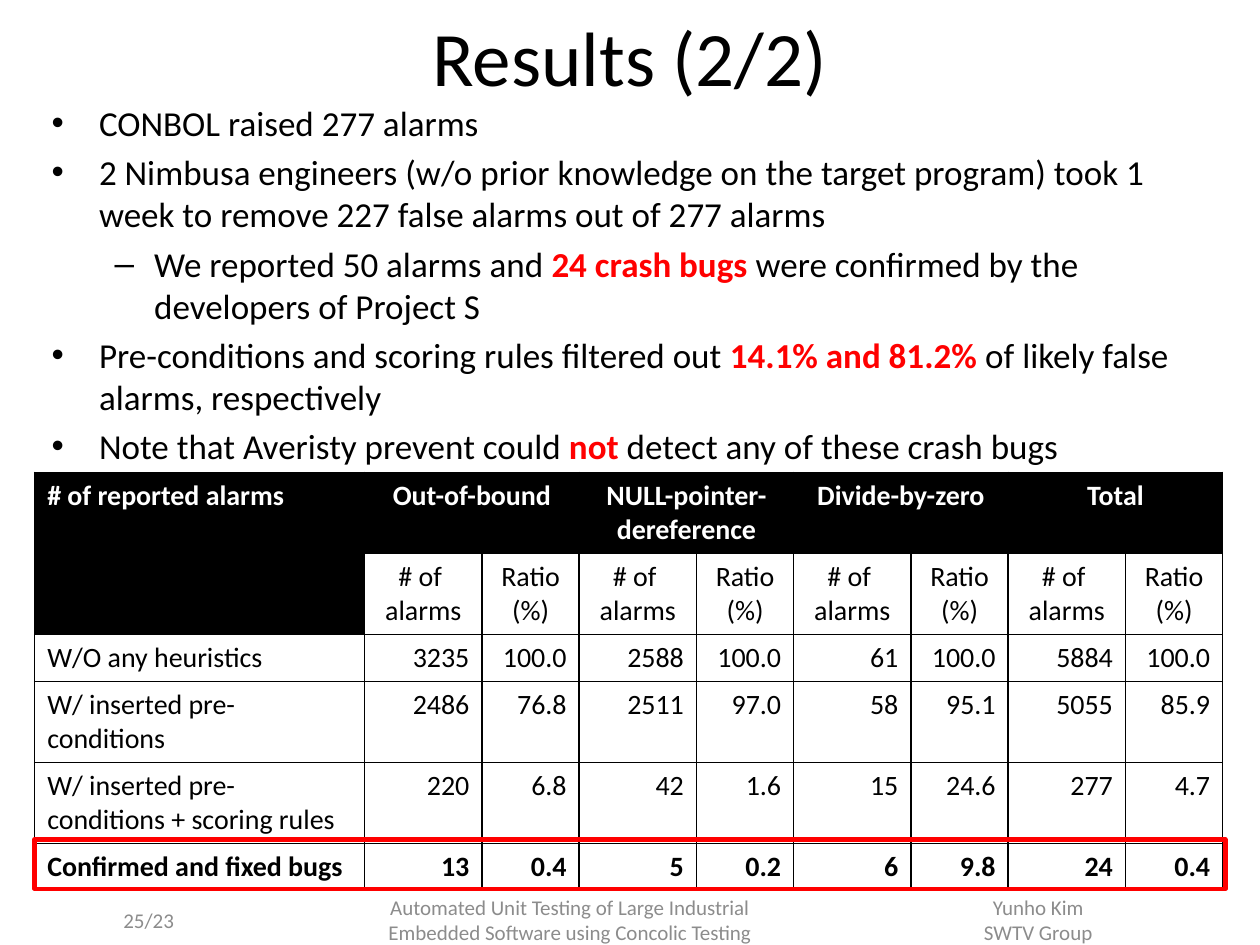
from dataclasses import dataclass

from lxml import etree
from pptx import Presentation
from pptx.dml import color
from pptx.enum import shapes, text
from pptx.oxml import ns
from pptx.util import Pt


@dataclass(frozen=True)
class Theme:
    font: str = "Calibri"
    black: str = "000000"
    white: str = "FFFFFF"
    red: str = "FF0000"
    gray: str = "8C8C8C"
    title: int = 44
    body: int = 20
    table: int = 16
    footer: int = 12


THEME = Theme()
ALIGN = text.PP_ALIGN

BULLETS = [
    (0, ["CONBOL raised 277 alarms"]),
    (0, ["2 Nimbusa engineers (w/o prior knowledge on the target program) took 1 "
         "week to remove 227 false alarms out of 277 alarms"]),
    (1, ["We reported 50 alarms and ", "24 crash bugs ",
         "were confirmed by the developers of Project S"]),
    (0, ["Pre-conditions and scoring rules filtered out ", "14.1% and 81.2% ",
         "of likely false alarms, respectively"]),
    (0, ["Note that Averisty prevent could ", "not ",
         "detect any of these crash bugs"]),
]
BULLET_STYLES = [("•", 27, -27), ("–", 58.5, -22.5)]

GROUPS = ["Out-of-bound", "NULL-pointer-dereference", "Divide-by-zero", "Total"]
ROWS = [
    ("W/O any heuristics",
     "3235", "100.0", "2588", "100.0", "61", "100.0", "5884", "100.0"),
    ("W/ inserted pre-conditions",
     "2486", "76.8", "2511", "97.0", "58", "95.1", "5055", "85.9"),
    ("W/ inserted pre-conditions + scoring rules",
     "220", "6.8", "42", "1.6", "15", "24.6", "277", "4.7"),
    ("Confirmed and fixed bugs",
     "13", "0.4", "5", "0.2", "6", "9.8", "24", "0.4"),
]
COL_WIDTHS = [188.6] + [67, 55.6] * len(GROUPS)
ROW_HEIGHTS = [46.3, 46.3, 27, 46.3, 46.3, 27]

FOOTERS = [
    (36, 70.5, ALIGN.RIGHT, ["25/23"]),
    (121.7, 408, ALIGN.CENTER, ["Automated Unit Testing of Large Industrial",
                                "Embedded Software using Concolic Testing"]),
    (540, 106.5, ALIGN.CENTER, ["Yunho Kim", "SWTV Group"]),
]


def add_run(p, content, size, rgb, bold=False):
    r = p.add_run()
    r.text = content
    r.font.name = THEME.font
    r.font.size = Pt(size)
    r.font.bold = bold
    r.font.color.rgb = color.RGBColor.from_string(rgb)


def write_lines(tf, lines, align, size, rgb, bold=False):
    for i, line in enumerate(lines):
        p = tf.add_paragraph() if i else tf.paragraphs[0]
        p.alignment = align
        add_run(p, line, size, rgb, bold)


def add_box(s, left, top, width, height, anchor):
    tf = s.shapes.add_textbox(Pt(left), Pt(top), Pt(width), Pt(height)).text_frame
    tf.word_wrap = True
    tf.vertical_anchor = anchor
    return tf


def set_title(s, content):
    sp = s.shapes.title
    sp.left, sp.top, sp.width, sp.height = Pt(0), Pt(-2), Pt(720), Pt(67.5)
    sp.text_frame.vertical_anchor = text.MSO_ANCHOR.MIDDLE
    write_lines(sp.text_frame, [content], ALIGN.CENTER, THEME.title, THEME.black)


def set_bullet(p, level):
    char, margin, indent = BULLET_STYLES[level]
    p.level = level
    ppr = p._p.get_or_add_pPr()
    ppr.set("marL", str(Pt(margin)))
    ppr.set("indent", str(Pt(indent)))
    etree.SubElement(ppr, ns.qn("a:buFont"), typeface="Arial")
    etree.SubElement(ppr, ns.qn("a:buChar"), char=char)


def add_bullets(s):
    tf = add_box(s, 22.5, 54.7, 664, 215, text.MSO_ANCHOR.TOP)
    for i, (level, runs) in enumerate(BULLETS):
        p = tf.add_paragraph() if i else tf.paragraphs[0]
        set_bullet(p, level)
        p.space_before = Pt(4 if i else 0)
        for j, content in enumerate(runs):
            marked = j == 1
            add_run(p, content, THEME.body, THEME.red if marked else THEME.black, marked)


def style_cell(cell, fill):
    tcpr = cell._tc.get_or_add_tcPr()
    for side, width in (("L", 1), ("R", 1), ("T", 0.75), ("B", 0.75)):
        ln = etree.SubElement(tcpr, ns.qn(f"a:ln{side}"), w=str(Pt(width)))
        solid = etree.SubElement(ln, ns.qn("a:solidFill"))
        etree.SubElement(solid, ns.qn("a:srgbClr"), val=THEME.black)
    cell.fill.solid()
    cell.fill.fore_color.rgb = color.RGBColor.from_string(fill)


def fill_cell(cell, lines, align, rgb=THEME.black, bold=False):
    write_lines(cell.text_frame, lines, align, THEME.table, rgb, bold)


def add_alarm_table(s):
    table = s.shapes.add_table(
        len(ROW_HEIGHTS), len(COL_WIDTHS), Pt(19.8), Pt(269.8),
        Pt(sum(COL_WIDTHS)), Pt(sum(ROW_HEIGHTS))).table
    table.first_row = table.horz_banding = False
    for col, width in zip(table.columns, COL_WIDTHS):
        col.width = Pt(width)
    for row, height in zip(table.rows, ROW_HEIGHTS):
        row.height = Pt(height)
    for r in range(len(ROW_HEIGHTS)):
        for c in range(len(COL_WIDTHS)):
            header = r == 0 or (r == 1 and c == 0)
            style_cell(table.cell(r, c), THEME.black if header else THEME.white)

    table.cell(0, 0).merge(table.cell(1, 0))
    fill_cell(table.cell(0, 0), ["# of reported alarms"], ALIGN.LEFT, THEME.white, True)
    for i, group in enumerate(GROUPS):
        c = 1 + 2 * i
        table.cell(0, c).merge(table.cell(0, c + 1))
        fill_cell(table.cell(0, c), [group], ALIGN.CENTER, THEME.white, True)
        fill_cell(table.cell(1, c), ["# of ", "alarms"], ALIGN.CENTER)
        fill_cell(table.cell(1, c + 1), ["Ratio", "(%)"], ALIGN.CENTER)
    for r, values in enumerate(ROWS, 2):
        for c, value in enumerate(values):
            fill_cell(table.cell(r, c), [value], ALIGN.RIGHT if c else ALIGN.LEFT,
                      bold=values is ROWS[-1])


def add_highlight(s):
    sp = s.shapes.add_shape(shapes.MSO_SHAPE.RECTANGLE,
                            Pt(19.8), Pt(479.7), Pt(680.4), Pt(28.3))
    sp.shadow.inherit = False
    sp.fill.background()
    sp.line.color.rgb = color.RGBColor.from_string(THEME.red)
    sp.line.width = Pt(2.5)


def add_footers(s):
    for left, width, align, lines in FOOTERS:
        tf = add_box(s, left, 511.2, width, 28.8, text.MSO_ANCHOR.MIDDLE)
        write_lines(tf, lines, align, THEME.footer, THEME.gray)


def main():
    prs = Presentation()
    prs.slide_width, prs.slide_height = Pt(720), Pt(540)
    s = prs.slides.add_slide(prs.slide_layouts[5])
    set_title(s, "Results (2/2)")
    add_footers(s)
    add_bullets(s)
    add_alarm_table(s)
    add_highlight(s)
    prs.save("out.pptx")


if __name__ == "__main__":
    main()
